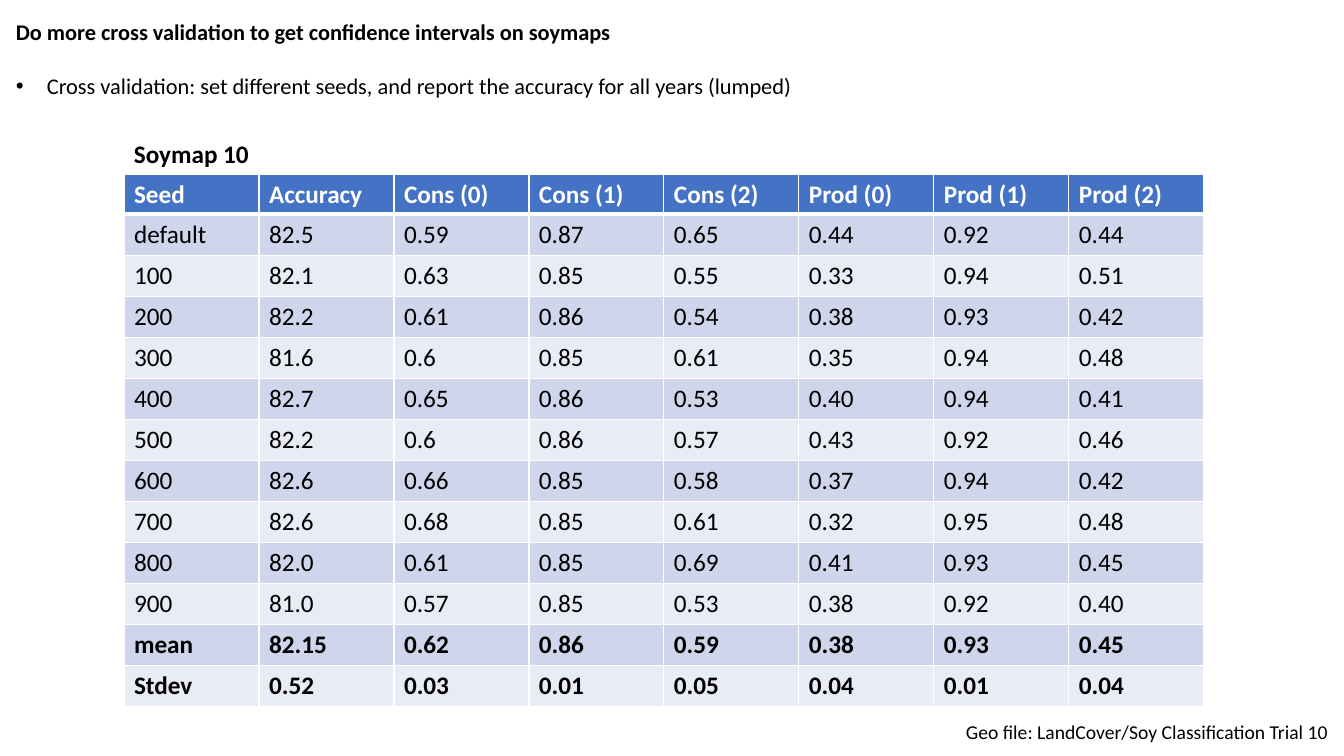
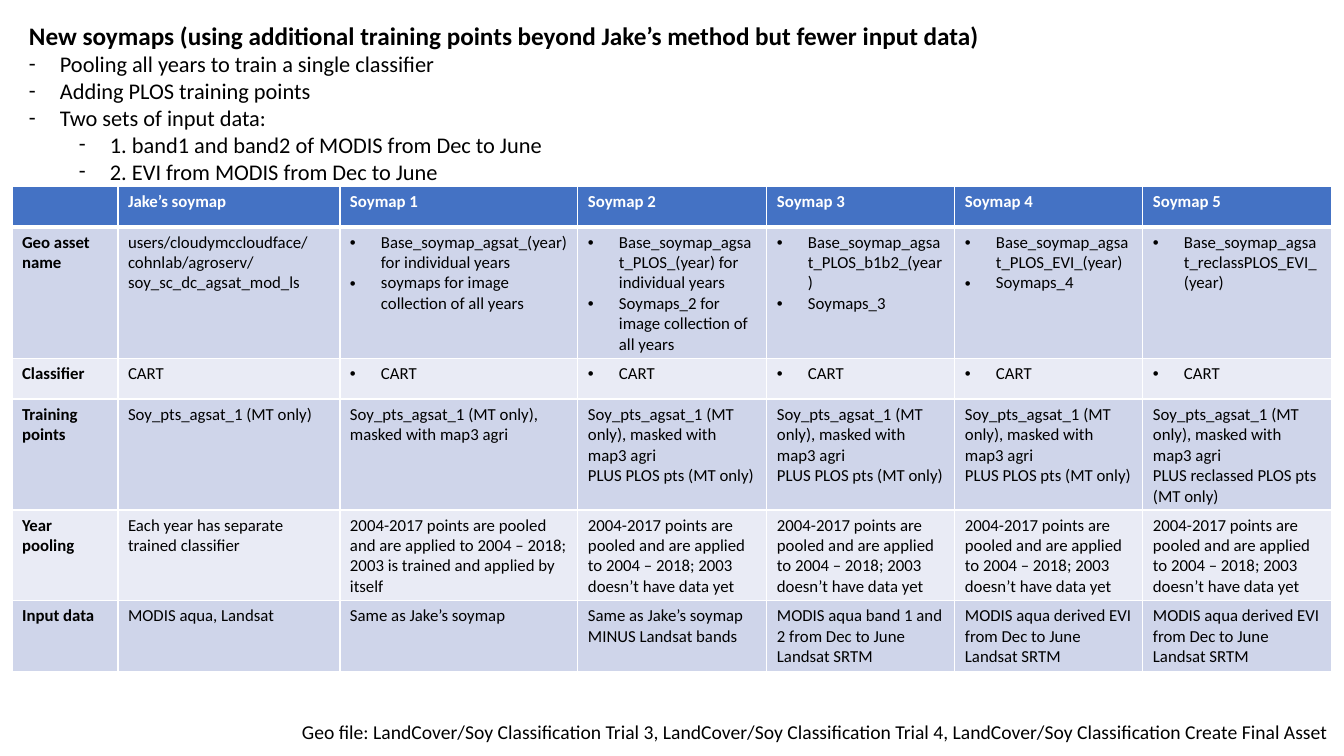
import pptx
import pptx.dml.color
import pptx.oxml.ns
import pptx.util
import lxml.etree

PX = 9071
FONT = "Calibri"
BLACK, WHITE, HEADER = "000000", "FFFFFF", "4472C4"
BANDS = ["E9EBF5", "CFD5EA"]
BULLET_FONTS = {"•": "Arial", "-": FONT}
qn = pptx.oxml.ns.qn
color_of = pptx.dml.color.RGBColor.from_string


def add_text(frame, text, size=16, bold=False, color=BLACK, bullet=None, level=0, before=0):
    para = frame.paragraphs[0] if not frame.text else frame.add_paragraph()
    para.level = level
    if before:
        para.space_before = pptx.util.Pt(before)
    if bullet:
        properties = para._p.get_or_add_pPr()
        properties.set("marL", str((31 + 50 * level) * PX))
        properties.set("indent", str(-31 * PX))
        lxml.etree.SubElement(properties, qn("a:buFont"), typeface=BULLET_FONTS[bullet])
        lxml.etree.SubElement(properties, qn("a:buChar"), char=bullet)
    span = para.add_run()
    span.text = text
    span.font.name = FONT
    span.font.size = pptx.util.Pt(size)
    span.font.bold = bold
    span.font.color.rgb = color_of(color)


def style_cell(cell, fill, top=1, bottom=1):
    properties = cell._tc.get_or_add_tcPr()
    for side, width in (("L", 1), ("R", 1), ("T", top), ("B", bottom)):
        line = lxml.etree.SubElement(properties, qn("a:ln" + side), w=str(pptx.util.Pt(width)))
        solid = lxml.etree.SubElement(line, qn("a:solidFill"))
        lxml.etree.SubElement(solid, qn("a:srgbClr"), val=WHITE)
    cell.fill.solid()
    cell.fill.fore_color.rgb = color_of(fill)


accuracy_rows = [line.split("|") for line in """\
Seed|Accuracy|Cons (0)|Cons (1)|Cons (2)|Prod (0)|Prod (1)|Prod (2)
default|82.5|0.59|0.87|0.65|0.44|0.92|0.44
100|82.1|0.63|0.85|0.55|0.33|0.94|0.51
200|82.2|0.61|0.86|0.54|0.38|0.93|0.42
300|81.6|0.6|0.85|0.61|0.35|0.94|0.48
400|82.7|0.65|0.86|0.53|0.40|0.94|0.41
500|82.2|0.6|0.86|0.57|0.43|0.92|0.46
600|82.6|0.66|0.85|0.58|0.37|0.94|0.42
700|82.6|0.68|0.85|0.61|0.32|0.95|0.48
800|82.0|0.61|0.85|0.69|0.41|0.93|0.45
900|81.0|0.57|0.85|0.53|0.38|0.92|0.40
mean|82.15|0.62|0.86|0.59|0.38|0.93|0.45
Stdev|0.52|0.03|0.01|0.05|0.04|0.01|0.04""".splitlines()]

masked = "Soy_pts_agsat_1 (MT only), masked with map3 agri"
plus_plos = masked + "\nPLUS PLOS pts (MT only)"
pooled = "2004-2017 points are pooled and are applied to 2004 – 2018; 2003 "
no_data = pooled + "doesn’t have data yet"
evi_input = "MODIS aqua derived EVI from Dec to June\nLandsat SRTM"
soymap_rows = [
    ["", "Jake’s soymap"] + [f"Soymap {number}" for number in range(1, 6)],
    ["Geo asset name",
     "users/cloudymccloudface/cohnlab/agroserv/soy_sc_dc_agsat_mod_ls",
     "Base_soymap_agsat_(year) for individual years\nsoymaps for image collection of all years",
     "Base_soymap_agsat_PLOS_(year) for individual years\n"
     "Soymaps_2 for image collection of all years",
     "Base_soymap_agsat_PLOS_b1b2_(year)\nSoymaps_3",
     "Base_soymap_agsat_PLOS_EVI_(year)\nSoymaps_4",
     "Base_soymap_agsat_reclassPLOS_EVI_(year)"],
    ["Classifier"] + ["CART"] * 6,
    ["Training points", "Soy_pts_agsat_1 (MT only)", masked] + [plus_plos] * 3
    + [masked + "\nPLUS reclassed PLOS pts (MT only)"],
    ["Year pooling", "Each year has separate trained classifier",
     pooled + "is trained and applied by itself"] + [no_data] * 4,
    ["Input data", "MODIS aqua, Landsat", "Same as Jake’s soymap",
     "Same as Jake’s soymap MINUS Landsat bands",
     "MODIS aqua band 1 and 2 from Dec to June\nLandsat SRTM", evi_input, evi_input],
]

dash = {"bullet": "-"}
slides = [
    {
        "boxes": [
            ((6, 13, 1333, 92), [
                ("Do more cross validation to get confidence intervals on soymaps", {"bold": True}),
                ("Cross validation: set different seeds, and report the accuracy for all years (lumped)",
                 {"bullet": "•", "before": 19.5}),
            ]),
            ((124, 133, 136, 40), [("Soymap 10", {"size": 18, "bold": True})]),
            ((956, 715, 388, 34),
             [("Geo file: LandCover/Soy Classification Trial 10", {"size": 14})]),
        ],
        "rows": accuracy_rows, "corner": (124, 174), "size": 18,
        "widths": [135] * 8, "heights": [40] + [41] * 12,
        "bold_rows": (0, 11, 12), "bold_columns": (), "bullet_rows": (),
    },
    {
        "boxes": [
            ((19, 15, 1282, 176), [
                ("New soymaps (using additional training points beyond Jake’s method "
                 "but fewer input data)", {"size": 18, "bold": True}),
                ("Pooling all years to train a single classifier", dash),
                ("Adding PLOS training points", dash),
                ("Two sets of input data:", dash),
                ("1. band1 and band2 of MODIS from Dec to June", {"bullet": "-", "level": 1}),
                ("2. EVI from MODIS from Dec to June", {"bullet": "-", "level": 1}),
            ]),
            ((292, 715, 1052, 34),
             [("Geo file: LandCover/Soy Classification Trial 3, LandCover/Soy Classification Trial 4, "
               "LandCover/Soy Classification Create Final Asset", {"size": 14})]),
        ],
        "rows": soymap_rows, "corner": (12, 186), "size": 12,
        "widths": [106, 222, 238, 189, 188, 188, 189], "heights": [41, 130, 41, 110, 90, 70],
        "bold_rows": (0,), "bold_columns": (0,), "bullet_rows": (1, 2),
    },
]

deck = pptx.Presentation()
deck.slide_width = 1344 * PX
deck.slide_height = 756 * PX

for content in slides:
    page = deck.slides.add_slide(deck.slide_layouts[6])
    for place, paragraphs in content["boxes"]:
        box = page.shapes.add_textbox(*[length * PX for length in place])
        box.text_frame.word_wrap = True
        for text, style in paragraphs:
            add_text(box.text_frame, text, **style)

    rows, widths, heights = content["rows"], content["widths"], content["heights"]
    left, top = content["corner"]
    table = page.shapes.add_table(len(rows), len(widths), left * PX, top * PX,
                                  sum(widths) * PX, sum(heights) * PX).table
    for column, width in zip(table.columns, widths):
        column.width = width * PX
    for row_index, row in enumerate(rows):
        table.rows[row_index].height = heights[row_index] * PX
        is_header = row_index == 0
        for column_index, text in enumerate(row):
            cell = table.cell(row_index, column_index)
            style_cell(cell, HEADER if is_header else BANDS[row_index % 2],
                       top=3 if row_index == 1 else 1, bottom=3 if is_header else 1)
            bulleted = row_index in content["bullet_rows"] and column_index >= 2
            bold = row_index in content["bold_rows"] or column_index in content["bold_columns"]
            for line in text.splitlines():
                add_text(cell.text_frame, line, size=content["size"], bold=bold,
                         color=WHITE if is_header else BLACK, bullet="•" if bulleted else None)

deck.save("out.pptx")
